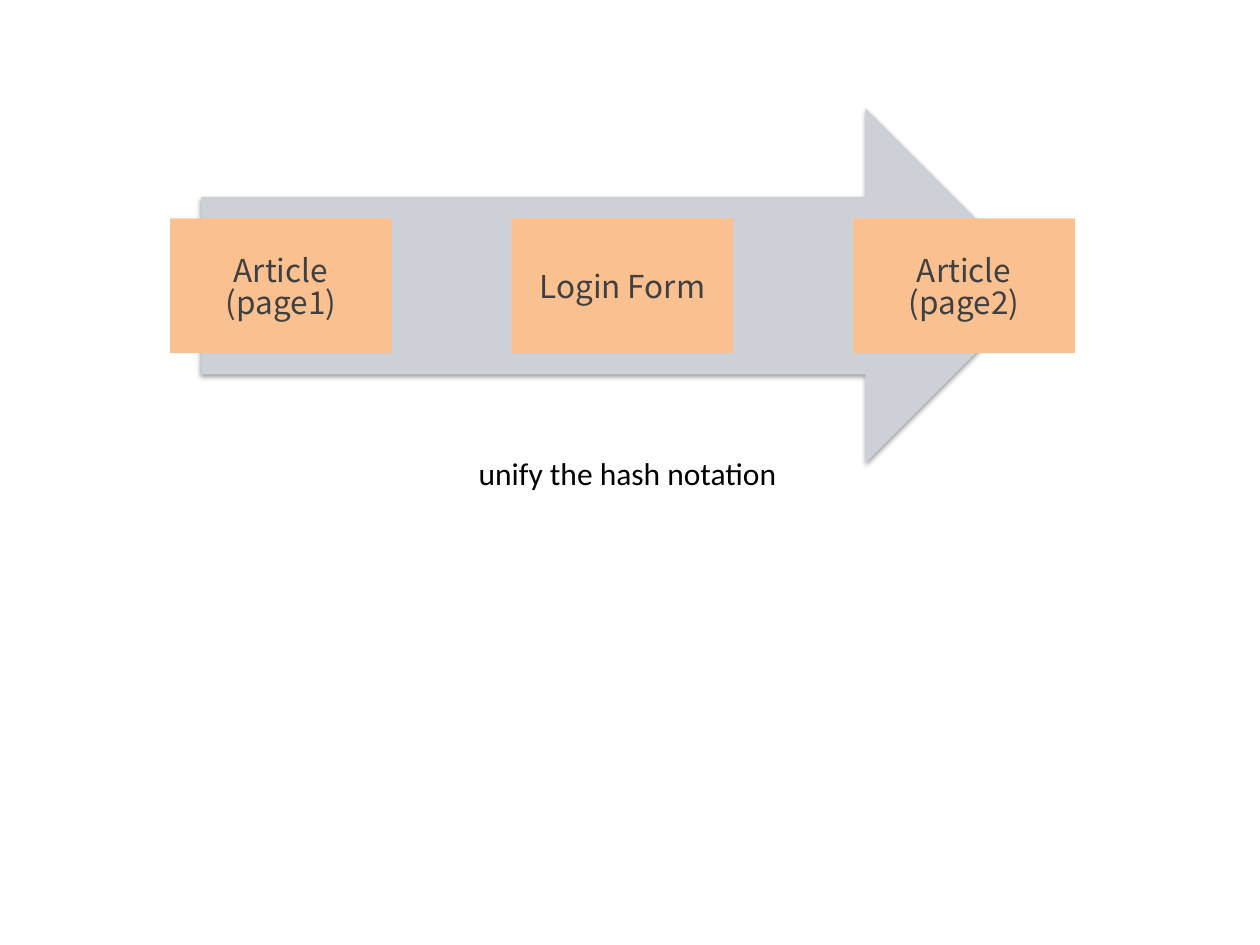
from lxml.etree import SubElement
from pptx import Presentation
from pptx.dml.color import RGBColor
from pptx.enum.shapes import MSO_SHAPE
from pptx.enum.text import MSO_ANCHOR, MSO_AUTO_SIZE, PP_ALIGN
from pptx.oxml.ns import qn
from pptx.util import Cm, Pt

COLORS = {
    "arrow": "CDD0D7",
    "step": "FAC090",
    "step_text": "404040",
    "caption": "000000",
    "shadow": "000000",
}
STEPS = [["Article", "(page1)"], ["Login Form"], ["Article", "(page2)"]]


def color(name):
    return RGBColor.from_string(COLORS[name])


def add_span(para, text, font_name, color_name):
    span = para.add_run()
    span.text = text
    span.font.name = font_name
    span.font.size = Pt(18)
    span.font.color.rgb = color(color_name)


def add_block(page, kind, left, top, width, height, fill):
    block = page.shapes.add_shape(kind, Cm(left), Cm(top), Cm(width), Cm(height))
    block.shadow.inherit = False
    block.fill.solid()
    block.fill.fore_color.rgb = color(fill)
    block.line.fill.background()
    return block


def add_drop_shadow(block):
    effects = block._element.spPr.find(qn("a:effectLst"))
    shadow = SubElement(
        effects, qn("a:outerShdw"), blurRad=str(Pt(3.1)), dist=str(Pt(1.6)),
        dir="5400000", rotWithShape="0")
    tint = SubElement(shadow, qn("a:srgbClr"), val=COLORS["shadow"])
    SubElement(tint, qn("a:alpha"), val="38000")


def add_step(page, left, top, width, height, lines):
    box = add_block(page, MSO_SHAPE.RECTANGLE, left, top, width, height, "step")
    frame = box.text_frame
    frame.word_wrap = True
    frame.vertical_anchor = MSO_ANCHOR.MIDDLE
    for index, line in enumerate(lines):
        para = frame.add_paragraph() if index else frame.paragraphs[0]
        para.alignment = PP_ALIGN.CENTER
        if index:
            para.line_spacing = 0.83
        add_span(para, line, "Noto Sans CJK JP", "step_text")


def add_flow(page, left, top, width, height):
    arrow_width = width * 0.93
    arrow = add_block(page, MSO_SHAPE.RIGHT_ARROW, left + 0.63, top,
                      arrow_width, height, "arrow")
    add_drop_shadow(arrow)
    step_width, step_height = 4.47, height * 0.38
    pitch = (width - step_width) / (len(STEPS) - 1)
    step_top = top + (height - step_height) / 2
    for index, lines in enumerate(STEPS):
        add_step(page, left + index * pitch, step_top, step_width, step_height, lines)


def add_caption(page, left, top, width, height):
    box = page.shapes.add_textbox(Cm(left), Cm(top), Cm(width), Cm(height))
    frame = box.text_frame
    frame.word_wrap = False
    frame.auto_size = MSO_AUTO_SIZE.SHAPE_TO_FIT_TEXT
    add_span(frame.paragraphs[0], "unify the hash notation", "Calibri", "caption")


deck = Presentation()
deck.slide_width, deck.slide_height = Cm(25.4), Cm(19.05)
page = deck.slides.add_slide(deck.slide_layouts[6])
add_flow(page, 3.43, 2.18, 18.24, 7.16)
add_caption(page, 9.4, 9.02, 6.6, 1.02)
deck.save("out.pptx")
